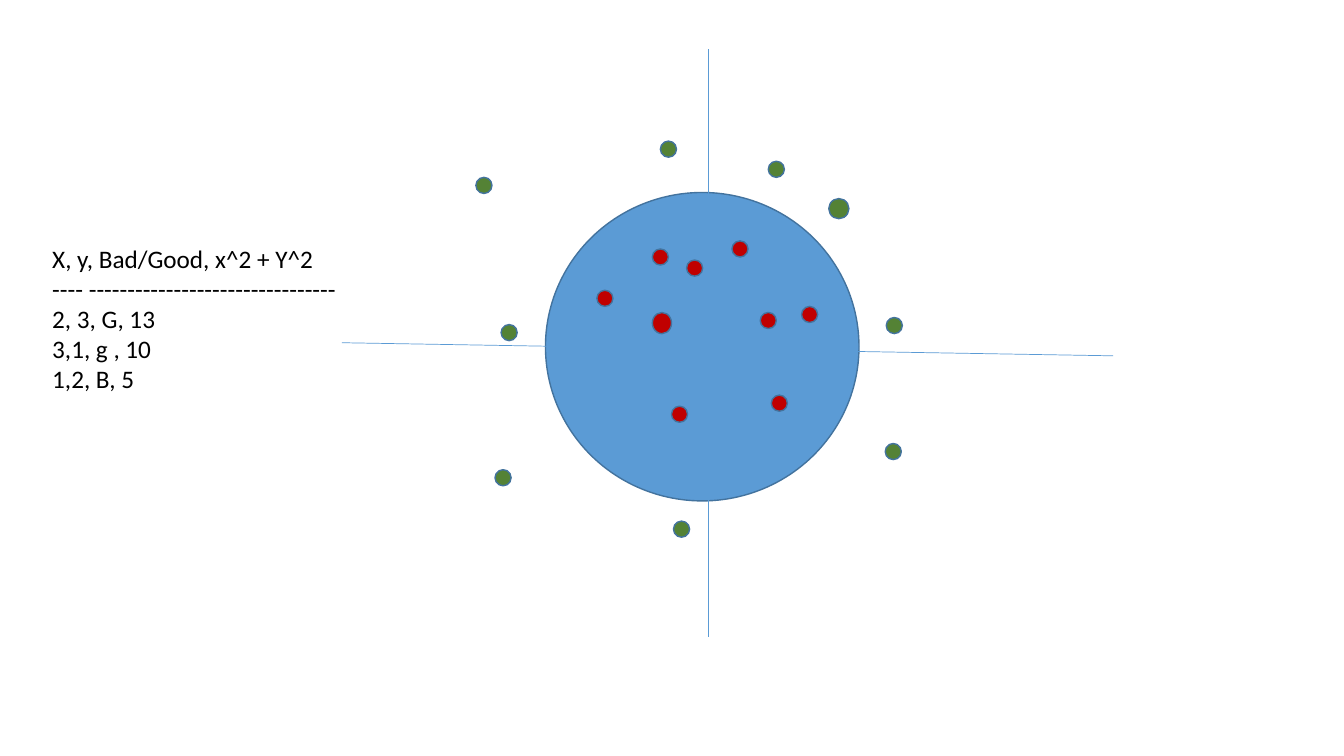
from pptx import Presentation
from pptx import util as u
from pptx.dml.color import RGBColor
from pptx.enum import shapes, text
from lxml import etree

PX = 9144  # EMU per px, at 100 px to the inch
BLUE, OUTLINE, RED, GREEN = "5B9BD5", "43739E", "C00000", "548235"
DOT = 16
DRAWING = "{http://schemas.openxmlformats.org/drawingml/2006/main}"


def paint(format_, color):
    format_.solid()
    format_.fore_color.rgb = RGBColor.from_string(color)


def write(paragraph, line, size=18, color="000000", font="Calibri"):
    run = paragraph.add_run()
    run.text = line
    run.font.size = u.Pt(size)
    run.font.name = font
    paint(run.font.fill, color)


presentation = Presentation()
presentation.slide_width = u.Emu(1333 * PX)
presentation.slide_height = u.Emu(750 * PX)
slide = presentation.slides.add_slide(presentation.slide_layouts[6])

# Points inside the circle (red) and outside it (green): left, top, width, height
bad_points = [
    (681, 258, DOT, DOT), (754, 310, DOT, DOT), (647, 310, 19, 21),
    (765, 392, DOT, DOT), (666, 403, DOT, DOT), (726, 239, DOT, DOT),
    (795, 304, DOT, DOT), (647, 247, DOT, DOT), (592, 288, DOT, DOT),
]
good_points = [
    (762, 160, DOT, DOT), (668, 517, DOT, DOT), (822, 197, 20, 20),
    (878, 440, DOT, DOT), (879, 315, DOT, DOT), (497, 322, DOT, DOT),
    (491, 466, DOT, DOT), (655, 140, DOT, DOT), (472, 176, DOT, DOT),
]

# Circle first, then the points on top of it
ellipses = [(BLUE, (541, 191, 311, 306))]
ellipses += [(RED, box) for box in bad_points]
ellipses += [(GREEN, box) for box in good_points]
for color, box in ellipses:
    ellipse = slide.shapes.add_shape(
        shapes.MSO_SHAPE.OVAL, *[u.Emu(length * PX) for length in box])
    ellipse.shadow.inherit = False
    paint(ellipse.fill, color)
    paint(ellipse.line.fill, OUTLINE)
    ellipse.line.width = u.Pt(1)

# Axes
for ends in [(703, 49, 703, 632), (339, 340, 1104, 353)]:
    axis = slide.shapes.add_connector(
        shapes.MSO_CONNECTOR.STRAIGHT, *[u.Emu(length * PX) for length in ends])
    paint(axis.line.fill, BLUE)
    axis.line.width = u.Pt(0.5)
    etree.SubElement(axis._element.spPr, DRAWING + "effectLst")

# Sample data
data_box = slide.shapes.add_textbox(
    *[u.Emu(length * PX) for length in (42, 236, 406, 252)])
frame = data_box.text_frame
frame.word_wrap = True
frame.auto_size = text.MSO_AUTO_SIZE.NONE
data_lines = [
    "X, y, Bad/Good, x^2 + Y^2",
    "---- --------------------------------",
    "2, 3, G, 13",
    "3,1, g , 10",
    "1,2, B, 5",
]
for index, line in enumerate(data_lines):
    paragraph = frame.add_paragraph() if index else frame.paragraphs[0]
    write(paragraph, line)

presentation.save("out.pptx")
